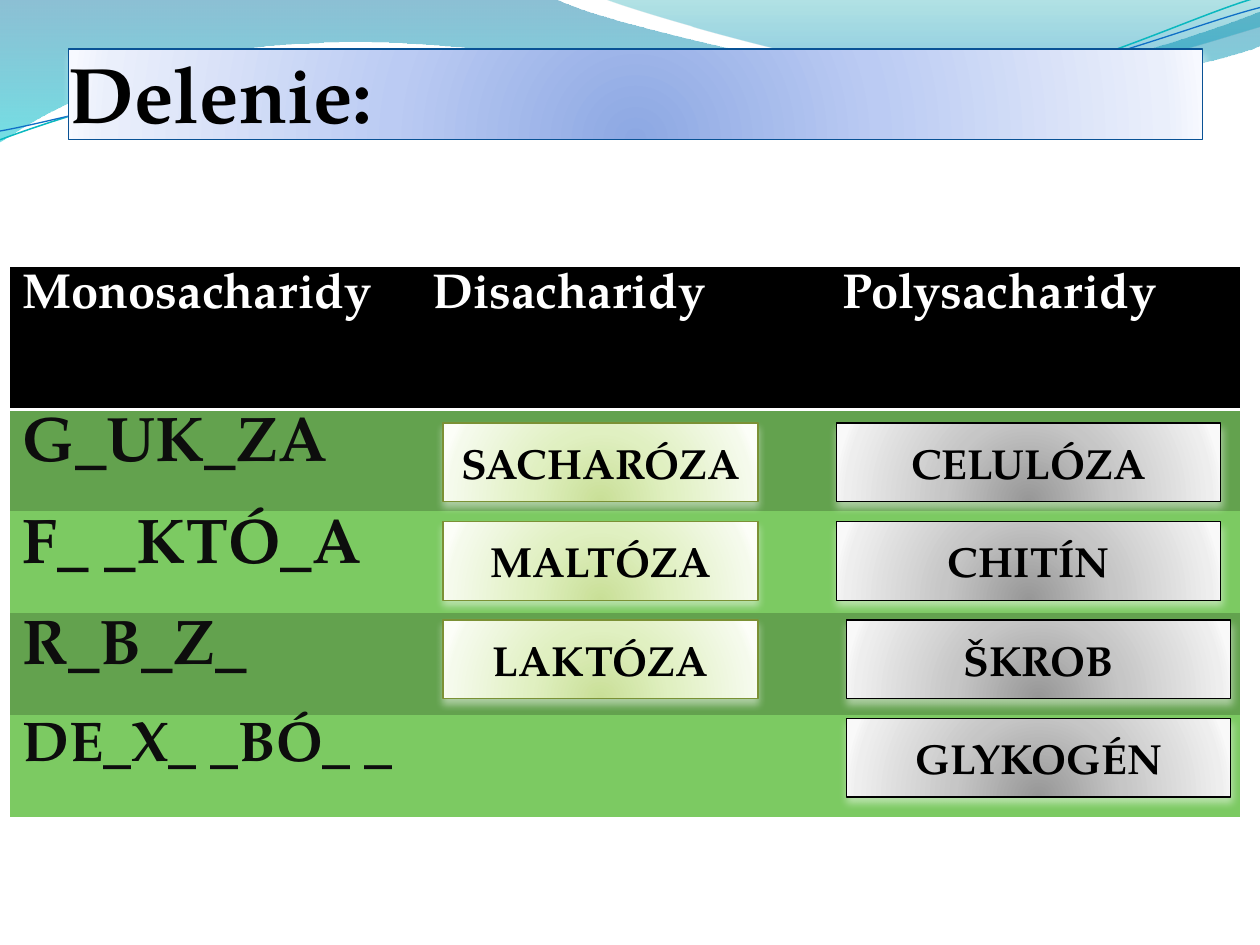
from pptx import Presentation
from pptx import util as u
from pptx.dml.color import RGBColor
from pptx.enum import shapes, text
from pptx.oxml import parse_xml
from pptx.oxml.ns import nsdecls, qn

FONT = "TeX Gyre Pagella"
COLORS = {
    "black": "000000", "white": "FFFFFF", "ink": "0D0D0D",
    "row_dark": "63A24E", "row_light": "7CCA62",
    "teal_line": "0AB8BF", "blue_line": "0F6FC6",
}
# Stops are (position %, colour, opacity %)
WAVE_STOPS = {
    "left": [(0, "0074A1", 45), (100, "00C6CF", 55)],
    "right": [(0, "00A1A9", 30), (80, "008BBF", 45)],
}
GLOWS = {
    "blue": {"stops": ["8DA8E3", "BBCBF3", "EAEFFB", "F7F9FF"], "line": "095295"},
    "green": {"stops": ["C9DF97", "E0F0C1", "F5FAEC", "FCFEF8"], "line": "7B9135"},
    "grey": {"stops": ["979797", "C6C6C6", "EEEEEE", "F9F9F9"], "line": "000000"},
}
GLOW_POSITIONS = (0, 43, 93, 100)
LINEAR = '<a:lin ang="5400000" scaled="1"/>'
RADIAL = ('<a:path path="circle"><a:fillToRect l="50000" t="130000" '
          'r="50000" b="-30000"/></a:path>')
NO_TABLE_STYLE = "{2D5ABB26-0587-4C30-8999-92F81FD0307C}"

# The slide is a grid of 100 columns by 75 rows
WIDTH, HEIGHT = u.Inches(10), u.Inches(7.5)
COL, ROW = WIDTH / 100, HEIGHT / 75

# Each wave: start point, then (x, y) for a line or six numbers for a curve
WAVES = {
    "left": [(0, 0), (44, -0.1), (47.6, 1.7, 66.4, 6.3, 75.8, 6.3),
             (85.3, 6.3, 95.8, 2.6, 100, 0.9), (100.1, 3.6),
             (98.3, 4.4, 87, 7.6, 74.6, 7.5), (62.2, 7.5, 38.2, 2.8, 25.7, 3.4),
             (12.9, 3.6, 4.6, 8.3, -0.1, 11.3), (0, 0)],
    "right": [(47.9, -0.1), (50.9, 1.1, 68.2, 6.2, 76.9, 6.5),
              (85.6, 6.9, 96.1, 3.2, 100, 2.1), (100, 0), (47.9, -0.1)],
}
STRANDS = {
    "teal_line": (0.85, [(0, 11.1), (4.8, 9.3, 15.8, 5.7, 27.7, 5.2),
                         (39.5, 4.7, 59.3, 8.9, 71.3, 8),
                         (83.3, 7.1, 93.8, 1.5, 99.8, -0.2)]),
    "blue_line": (0.75, [(0, 10.4), (4.7, 9.6, 16.4, 6.1, 28.3, 5.6),
                         (40.3, 5.1, 59.7, 8.4, 71.7, 7.5),
                         (83.6, 6.7, 94.1, 2.1, 100, 0.6)]),
}
HEADINGS = ["Monosacharidy", "Disacharidy", "Polysacharidy"]
MONOSACCHARIDES = [("G_UK_ZA", 36), ("F_ _KTÓ_A", 36), ("R_B_Z_", 36),
                   ("DE_X_ _BÓ_ _", 32)]


def rgb(name):
    return RGBColor.from_string(COLORS.get(name, name))


def on_grid(left, top, width, height):
    return [round(v) for v in (left * COL, top * ROW, width * COL, height * ROW)]


def write(frame, words, size, color):
    frame.text = words
    font = frame.paragraphs[0].runs[0].font
    font.name, font.size, font.bold = FONT, u.Pt(size), True
    font.color.rgb = rgb(color)


def fill_gradient(shape, stops, direction):
    marks = "".join(
        f'<a:gs pos="{pos * 1000}"><a:srgbClr val="{color}">'
        f'<a:alpha val="{opacity * 1000}"/></a:srgbClr></a:gs>'
        for pos, color, opacity in stops)
    shape.fill.background()
    properties = shape._element.spPr
    properties.replace(properties.find(qn("a:noFill")), parse_xml(
        f'<a:gradFill rotWithShape="1" {nsdecls("a")}>'
        f'<a:gsLst>{marks}</a:gsLst>{direction}</a:gradFill>'))


def add_curve(slide, origin, steps, close):
    """Build a freeform, then join each curve's three points into one Bézier."""
    points = [(round((origin[0] + x) * COL), round((origin[1] + y) * ROW))
              for step in steps for x, y in zip(step[::2], step[1::2])]
    builder = slide.shapes.build_freeform(*points[0])
    builder.add_line_segments(points[1:], close=close)
    curve = builder.convert_to_shape()
    curve.shadow.inherit = False
    segments = iter(list(curve._element.iter(qn("a:lnTo"))))
    for step in steps[1:]:
        segment = next(segments)
        if len(step) == 6:
            bezier = parse_xml(f'<a:cubicBezTo {nsdecls("a")}/>')
            segment.addprevious(bezier)
            for part in (segment, next(segments), next(segments)):
                bezier.append(part[0])
                part.getparent().remove(part)
    return curve


def add_waves(slide, origin):
    for side, steps in WAVES.items():
        wave = add_curve(slide, origin, steps, True)
        fill_gradient(wave, WAVE_STOPS[side], LINEAR)
        wave.line.fill.background()
    for color, (weight, steps) in STRANDS.items():
        strand = add_curve(slide, origin, steps, False)
        strand.fill.background()
        strand.line.color.rgb = rgb(color)
        strand.line.width = u.Pt(weight)


def add_glow_box(slide, box, words, size, glow):
    """Add a rectangle with a radial gradient, a pale halo and bold text."""
    panel = slide.shapes.add_shape(shapes.MSO_SHAPE.RECTANGLE, *on_grid(*box))
    look = GLOWS[glow]
    fill_gradient(panel, [(pos, color, 100) for pos, color
                          in zip(GLOW_POSITIONS, look["stops"])], RADIAL)
    panel.line.color.rgb = rgb(look["line"])
    panel.line.width = u.Pt(0.75)
    panel.shadow.inherit = False
    panel._element.spPr.find(qn("a:effectLst")).append(parse_xml(
        f'<a:outerShdw {nsdecls("a")} blurRad="{u.Pt(4.5)}" dist="{u.Pt(3)}" '
        f'dir="5400000" rotWithShape="0"><a:srgbClr val="{COLORS["white"]}">'
        '<a:alpha val="48000"/></a:srgbClr></a:outerShdw>'))
    frame = panel.text_frame
    write(frame, words, size, "black")
    frame.vertical_anchor = text.MSO_ANCHOR.MIDDLE
    frame.paragraphs[0].alignment = text.PP_ALIGN.CENTER
    return frame


def add_title(slide, box):
    frame = add_glow_box(slide, box, "Delenie:", 45, "blue")
    frame.vertical_anchor = text.MSO_ANCHOR.BOTTOM
    frame.paragraphs[0].alignment = text.PP_ALIGN.LEFT
    frame.margin_left = frame.margin_right = frame.margin_bottom = 0


def add_sugar_table(slide, box, header_height):
    count = len(MONOSACCHARIDES)
    graphic = slide.shapes.add_table(count + 1, len(HEADINGS), *on_grid(*box))
    table = graphic.table
    table._tbl.tblPr.find(qn("a:tableStyleId")).text = NO_TABLE_STYLE
    row_height = (box[3] - header_height) / count
    for number, row in enumerate(table.rows):
        row.height = round((row_height if number else header_height) * ROW)
        color = ("row_light", "row_dark")[number % 2] if number else "black"
        for cell in row.cells:
            cell.fill.solid()
            cell.fill.fore_color.rgb = rgb(color)
    for cell, heading in zip(table.rows[0].cells, HEADINGS):
        write(cell.text_frame, heading, 28, "white")
        cell._tc.get_or_add_tcPr().insert(0, parse_xml(
            f'<a:lnB {nsdecls("a")} w="{u.Pt(2)}"><a:solidFill>'
            f'<a:srgbClr val="{COLORS["white"]}"/></a:solidFill></a:lnB>'))
    for number, (sugar, size) in enumerate(MONOSACCHARIDES, 1):
        write(table.cell(number, 0).text_frame, sugar, size, "ink")


def add_sugar_stack(slide, box, pitch, sugars, glow):
    """Stack equal boxes downwards; box is the first of them."""
    left, top, width, height = box
    for number, sugar in enumerate(sugars):
        add_glow_box(slide, (left, top + number * pitch, width, height),
                     sugar, 24, glow)


def main():
    deck = Presentation()
    deck.slide_width, deck.slide_height = WIDTH, HEIGHT
    slide = deck.slides.add_slide(deck.slide_layouts[6])
    first, pitch, height = 33.58, 7.81, 6.25
    add_waves(slide, (0, 0))
    add_title(slide, (5.45, 3.9, 90, 7.15))
    add_sugar_table(slide, (0.8, 21.2, 97.65, 43.65), 11.3)
    add_sugar_stack(slide, (35.16, first, 25, height), pitch,
                    ["SACHARÓZA", "MALTÓZA", "LAKTÓZA"], "green")
    add_sugar_stack(slide, (66.4, first, 30.47, height), pitch,
                    ["CELULÓZA", "CHITÍN"], "grey")
    add_sugar_stack(slide, (67.2, first + 2 * pitch, 30.47, height), pitch,
                    ["ŠKROB", "GLYKOGÉN"], "grey")
    deck.save("out.pptx")


if __name__ == "__main__":
    main()
